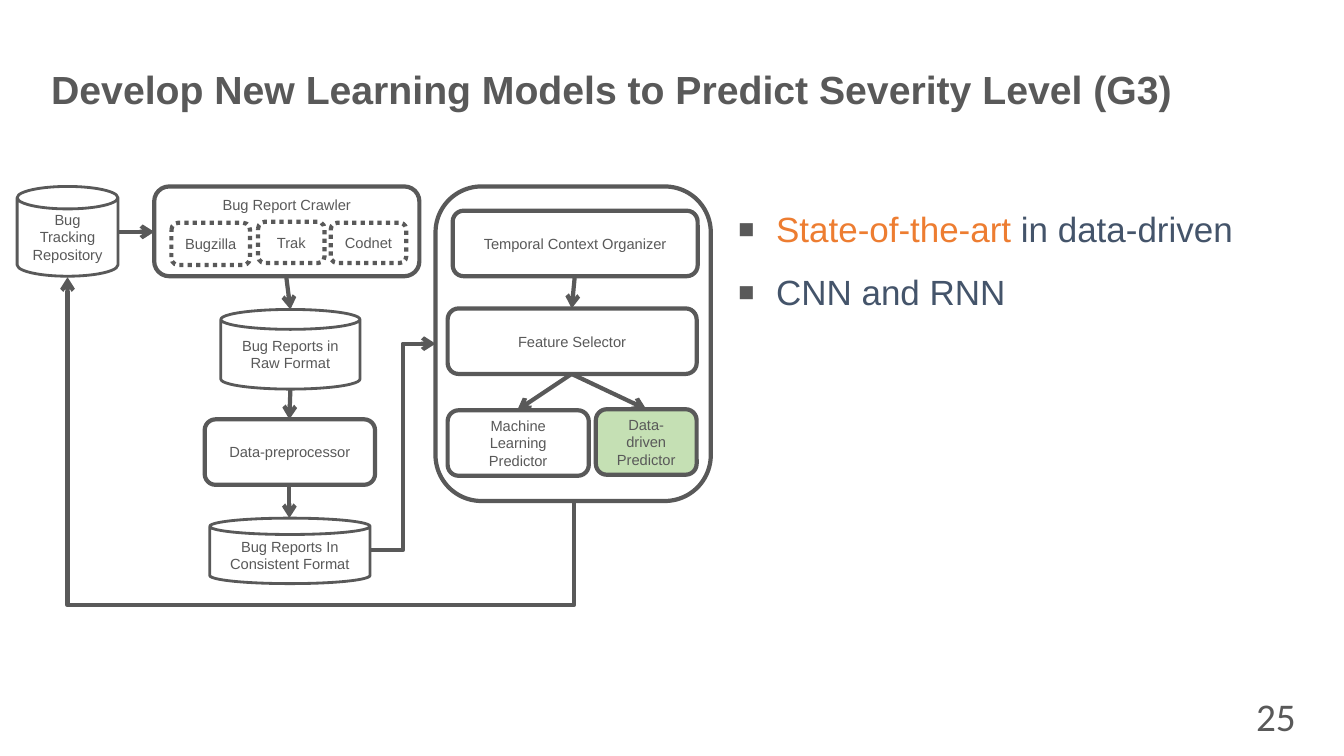
"""Build the slide on learning models that predict severity level."""
from lxml import etree
from pptx import Presentation
from pptx import util as u
from pptx.dml.color import RGBColor
from pptx.enum import dml, shapes, text
from pptx.oxml import ns

PX = 9144
COLORS = {"grey": "595959", "white": "FFFFFF", "green": "C5E0B4",
          "orange": "ED7D31", "navy": "44546A"}
CAN = shapes.MSO_SHAPE.CAN
ROUND = shapes.MSO_SHAPE.ROUNDED_RECTANGLE
TOP, MIDDLE = text.MSO_ANCHOR.TOP, text.MSO_ANCHOR.MIDDLE


def add_xml(parent, tag, **attributes):
    return etree.SubElement(parent, ns.qn(tag), attributes)


def style_font(font, size, color, name="Arial", bold=False):
    font.size, font.name, font.bold = u.Pt(size), name, bold
    font.color.rgb = RGBColor.from_string(COLORS[color])


presentation = Presentation()
presentation.slide_width, presentation.slide_height = 1333 * PX, 750 * PX
slide = presentation.slides.add_slide(presentation.slide_layouts[6])
grey = RGBColor.from_string(COLORS["grey"])

bullets = [
    [("State-of-the-art", "orange"), (" in data-driven", "navy")],
    [("CNN and RNN", "navy")],
]
bullet_box = slide.shapes.add_textbox(722 * PX, 180 * PX, 596 * PX, 129 * PX)
bullet_frame = bullet_box.text_frame
bullet_frame.word_wrap = True
bullet_frame.text = "\n".join("".join(words for words, _ in runs) for runs in bullets)
for paragraph, runs in zip(bullet_frame.paragraphs, bullets):
    paragraph.text = ""
    properties = paragraph._p.get_or_add_pPr()
    properties.set("marL", str(38 * PX))
    properties.set("indent", str(-38 * PX))
    add_xml(add_xml(properties, "a:buClr"), "a:srgbClr", val=COLORS["grey"])
    add_xml(properties, "a:buSzPct", val="150000")
    add_xml(properties, "a:buFont", typeface="Arial")
    add_xml(properties, "a:buChar", char="▪")
    paragraph.line_spacing = 1.5
    for words, color in runs:
        run = paragraph.add_run()
        run.text = words
        style_font(run.font, 25, color)

headings = [
    ("Develop New Learning Models to Predict Severity Level (G3)",
     (41, 40, 1277, 102), "Arial", True, text.PP_ALIGN.LEFT, 0.9),
    ("25", (1191, 690, 104, 40), "Calibri", False, text.PP_ALIGN.RIGHT, 1.0),
]
for words, box, font_name, bold, alignment, spacing in headings:
    heading = slide.shapes.add_textbox(*(length * PX for length in box))
    frame = heading.text_frame
    frame.word_wrap, frame.vertical_anchor = True, MIDDLE
    frame.text = words
    paragraph = frame.paragraphs[0]
    paragraph.alignment, paragraph.line_spacing = alignment, spacing
    style_font(paragraph.runs[0].font, 28, "grey", font_name, bold)

nodes = [
    (CAN, (17, 185, 100, 89), "Bug Tracking Repository", "white", MIDDLE, False),
    (ROUND, (153, 185, 263, 89), "Bug Report Crawler", None, TOP, False),
    (ROUND, (170, 221, 78, 42), "Bugzilla", "white", MIDDLE, True),
    (ROUND, (256, 220, 66, 41), "Trak", "white", MIDDLE, True),
    (ROUND, (328, 221, 75, 40), "Codnet", "white", MIDDLE, True),
    (CAN, (219, 307, 138, 79), "Bug Reports in Raw Format", "white", MIDDLE, False),
    (ROUND, (203, 416, 169, 65), "Data-preprocessor", None, MIDDLE, False),
    (CAN, (208, 514, 159, 65), "Bug Reports In Consistent Format", "white", MIDDLE, False),
    (ROUND, (432, 185, 273, 312), "", "white", MIDDLE, False),
    (ROUND, (449, 209, 243, 65), "Temporal Context Organizer", "white", MIDDLE, False),
    (ROUND, (444, 306, 247, 65), "Feature Selector", "white", MIDDLE, False),
    (ROUND, (444, 407, 140, 65), "Machine Learning\nPredictor", None, MIDDLE, False),
    (ROUND, (591, 406, 100, 65), "Data-driven\nPredictor", "green", MIDDLE, False),
]
for kind, box, words, fill, anchor, dotted in nodes:
    shape = slide.shapes.add_shape(kind, *(length * PX for length in box))
    shape.shadow.inherit = False
    if fill:
        shape.fill.solid()
        shape.fill.fore_color.rgb = RGBColor.from_string(COLORS[fill])
    else:
        shape.fill.background()
    shape.line.color.rgb = grey
    shape.line.width = u.Pt(2 if kind == CAN else 3)
    if dotted:
        shape.line.dash_style = dml.MSO_LINE.ROUND_DOT
    frame = shape.text_frame
    frame.word_wrap, frame.vertical_anchor = True, anchor
    frame.text = words
    for paragraph in frame.paragraphs:
        paragraph.alignment = text.PP_ALIGN.CENTER
        style_font(paragraph.font, 10.5, "grey")
        for run in paragraph.runs:
            style_font(run.font, 10.5, "grey")

STRAIGHT, ELBOW = shapes.MSO_CONNECTOR.STRAIGHT, shapes.MSO_CONNECTOR.ELBOW
arrows = [
    (STRAIGHT, (117, 230, 153, 230)),
    (STRAIGHT, (284, 275, 288, 307)),
    (STRAIGHT, (288, 387, 287, 416)),
    (STRAIGHT, (287, 481, 287, 514)),
    (ELBOW, (429, 135, 207, 637)),
    (STRAIGHT, (570, 275, 567, 306)),
    (STRAIGHT, (567, 371, 513, 407)),
    (STRAIGHT, (567, 371, 641, 406)),
    (ELBOW, (367, 546, 432, 341)),
]
connectors = []
for kind, ends in arrows:
    connector = slide.shapes.add_connector(kind, *(length * PX for length in ends))
    connector.line.color.rgb = grey
    connector.line.width = u.Pt(3)
    add_xml(connector.line._get_or_add_ln(), "a:tailEnd", type="arrow")
    add_xml(connector._element.spPr, "a:effectLst")
    connectors.append(connector)

feedback = connectors[4]._element.spPr
feedback.find(ns.qn("a:xfrm")).set("rot", "5400000")
adjustments = feedback.find(ns.qn("a:prstGeom")).get_or_add_avLst()
add_xml(adjustments, "a:gd", name="adj1", fmla="val -46600")

presentation.save("out.pptx")
